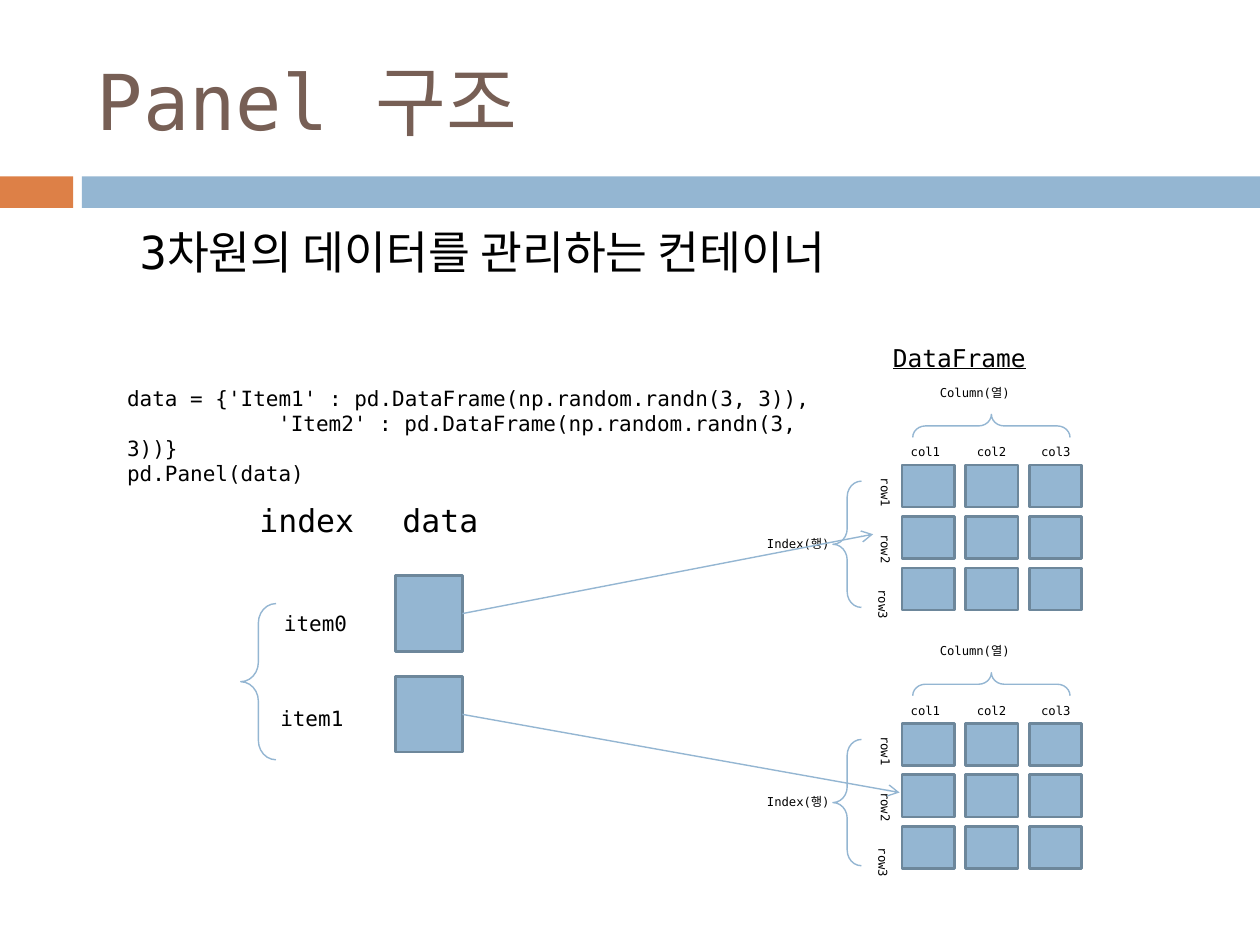
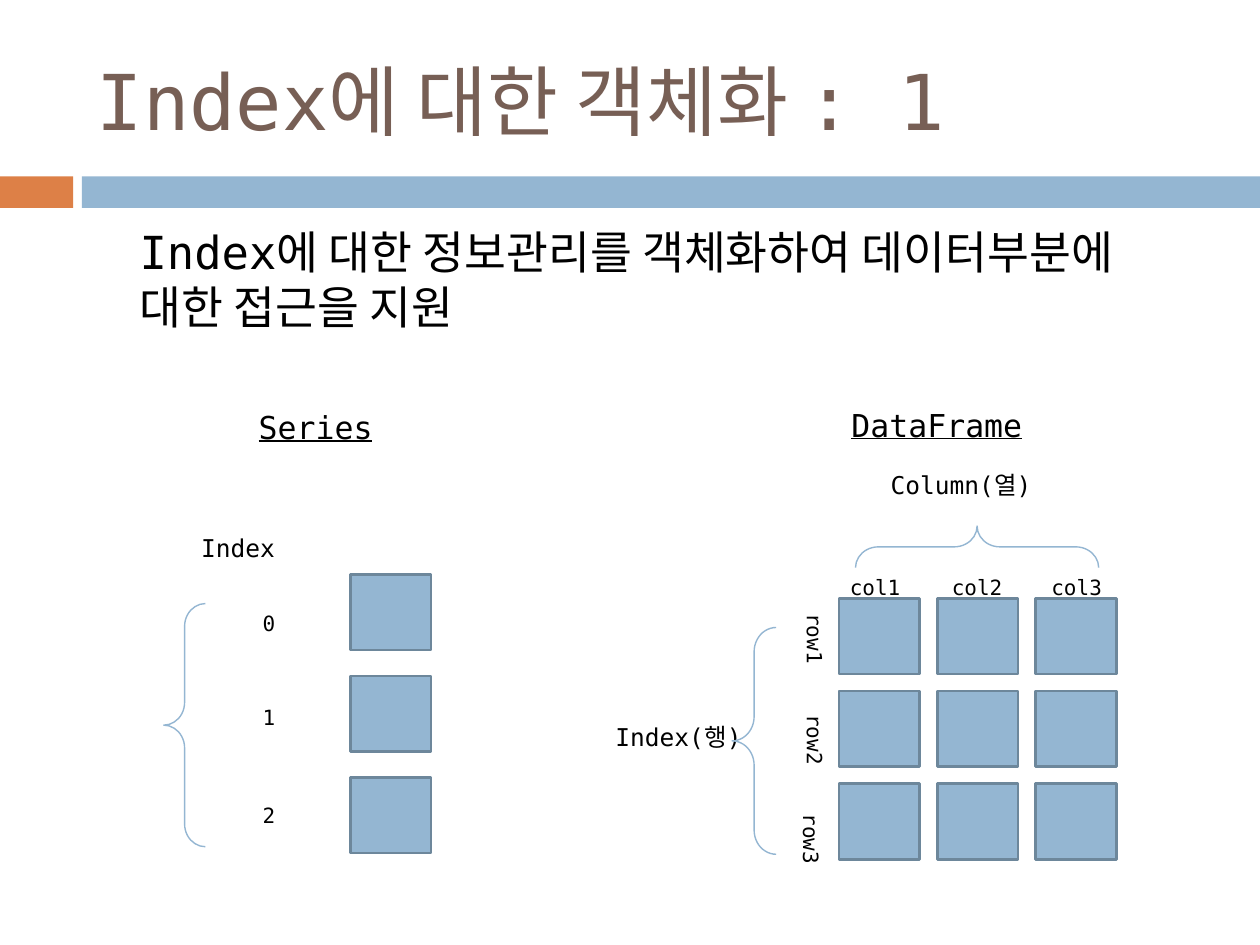
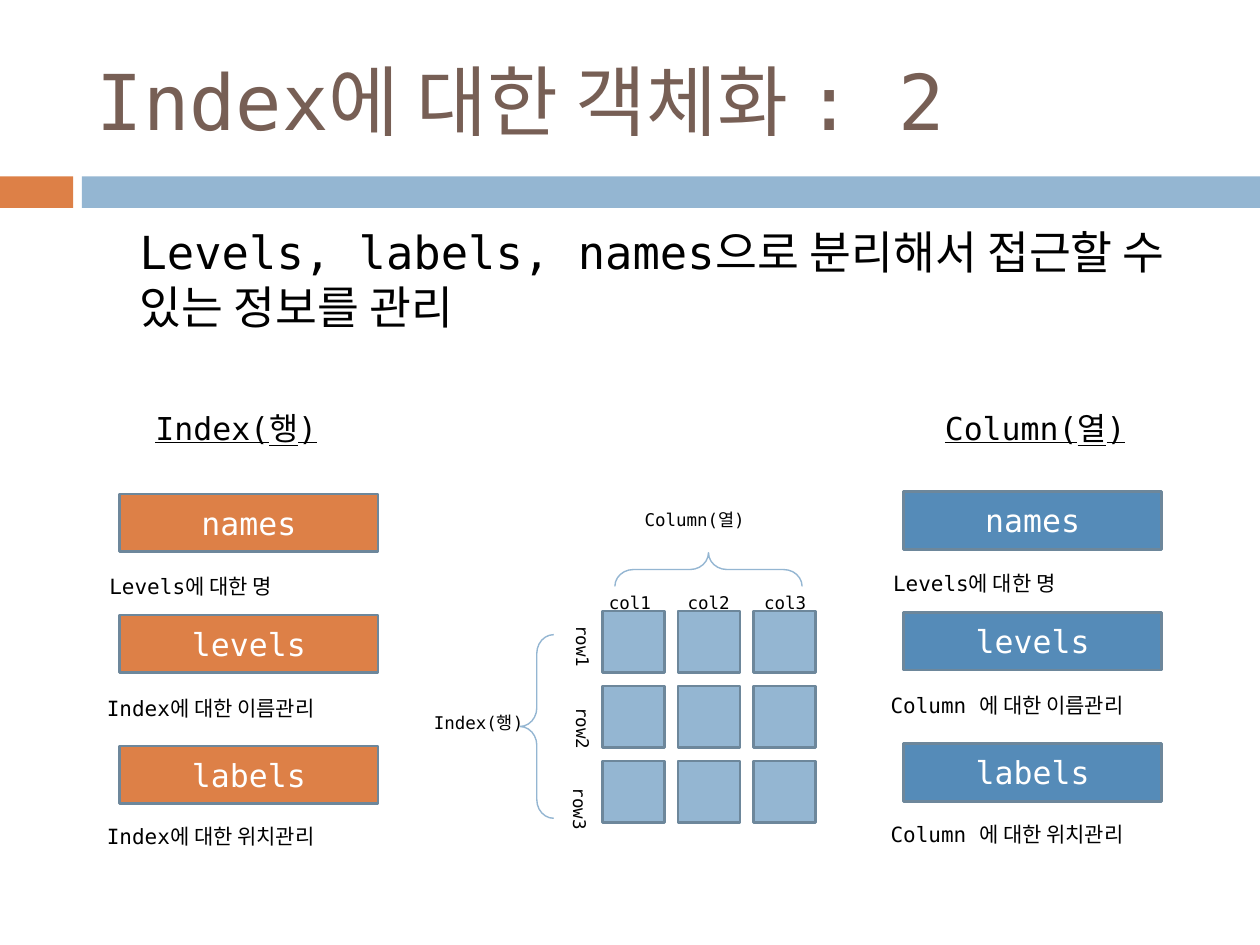
from pptx import Presentation
from pptx.dml.color import RGBColor
from pptx.enum.shapes import MSO_CONNECTOR, MSO_SHAPE
from pptx.enum.text import MSO_ANCHOR, MSO_AUTO_SIZE, PP_ALIGN
from pptx.oxml.ns import qn
from pptx.util import Inches, Pt
from lxml.etree import SubElement

FONT = "DejaVu Sans Mono"
BLACK, WHITE, BROWN = "000000", "FFFFFF", "775F55"
ORANGE, SKY, BLUE, EDGE = "DD8047", "94B6D2", "558BB8", "6D879B"
RECT, BRACE = MSO_SHAPE.RECTANGLE, MSO_SHAPE.RIGHT_BRACE
LEFT, CENTER = PP_ALIGN.LEFT, PP_ALIGN.CENTER


def add(s, kind, x, y, w, h, fill=None, line=None, width=1.5, rotation=0):
    box = [Inches(v) for v in (x, y, w, h)]
    if kind is None:
        sp = s.shapes.add_textbox(*box)
        sp.text_frame.word_wrap = True
        sp.text_frame.auto_size = MSO_AUTO_SIZE.SHAPE_TO_FIT_TEXT
        return sp
    sp = s.shapes.add_shape(kind, *box)
    sp.shadow.inherit = False
    sp.rotation = rotation
    if fill:
        sp.fill.solid()
        sp.fill.fore_color.rgb = RGBColor.from_string(fill)
    else:
        sp.fill.background()
    if line:
        sp.line.color.rgb = RGBColor.from_string(line)
        sp.line.width = Pt(width)
    else:
        sp.line.fill.background()
    if kind == BRACE:
        sp.adjustments[0] = 0.55
        sp.adjustments[1] = 0.5
    return sp


def write(sp, lines, size, color=BLACK, align=CENTER, underline=None):
    tf = sp.text_frame
    for i, line in enumerate(lines):
        p = tf.add_paragraph() if i else tf.paragraphs[0]
        p.alignment = align
        r = p.add_run()
        r.text = line
        r.font.name = FONT
        r.font.size = Pt(size)
        r.font.underline = underline
        r.font.color.rgb = RGBColor.from_string(color)
    return tf


prs = Presentation()
prs.slide_width = Inches(10)
prs.slide_height = Inches(7.5)

pages = [
    ("Panel 구조", "3차원의 데이터를 관리하는 컨테이너", 1.47),
    ("Index에 대한 객체화 : 1",
     "Index에 대한 정보관리를 객체화하여 데이터부분에 대한 접근을 지원", 1),
    ("Index에 대한 객체화 : 2",
     "Levels, labels, names으로 분리해서 접근할 수 있는 정보를 관리", 1),
]
slides = []
for title, body, body_h in pages:
    s = prs.slides.add_slide(prs.slide_layouts[6])
    slides.append(s)
    add(s, RECT, 0, 1.4, 0.58, 0.25, ORANGE)
    add(s, RECT, 0.65, 1.4, 9.35, 0.25, SKY)
    tf = write(add(s, None, 0.67, 0.25, 8.92, 1.08), [title], 44, BROWN, LEFT)
    tf.auto_size = MSO_AUTO_SIZE.NONE
    tf.vertical_anchor = MSO_ANCHOR.MIDDLE
    tf = write(add(s, None, 0.51, 1.73, 9, body_h), [body], 26, BLACK, LEFT)
    tf.auto_size = MSO_AUTO_SIZE.NONE
    p = tf.paragraphs[0]
    p.space_before = Pt(5.5)
    p._p.get_or_add_pPr().set("marL", str(Inches(0.5)))
panel, index1, index2 = slides

frames = [
    (panel, 7.16, 3.69, 0.647, 0.557, 7, 0.12, 0.21, 0.19, 0.68, 0.31, 0.21),
    (panel, 7.16, 5.74, 0.647, 0.557, 7, 0.12, 0.21, 0.19, 0.68, 0.31, 0.21),
    (index1, 6.66, 4.75, 1, 1, 14, 0.34, 0.36, 0.43, 1.07, 0.41, 0.24),
    (index2, 4.78, 4.85, 0.77, 0.81, 10, 0.27, 0.37, 0.44, 0.86, 0.33, 0.2),
]
for s, x, y, sx, sy, size, label_h, row_w, row_h, label_up, brace_up, col_up in frames:
    small = min(size, 12)
    for row in range(3):
        for col in range(3):
            add(s, RECT, x + 0.78 * sx * col, y + 0.735 * sy * row,
                0.64 * sx, 0.6 * sy, SKY, EDGE)
    write(add(s, None, x - 2.07 * sx, y + 0.93 * sy, 1.59 * sx, label_h),
          ["Index(행)"], size)
    write(add(s, None, x + 0.31 * sx, y - label_up, 1.9 * sx, label_h),
          ["Column(열)"], size, align=LEFT)
    add(s, BRACE, x - 0.85 * sx, y + 0.23 * sy, 0.35 * sx, 1.8 * sy,
        line=SKY, width=0.79, rotation=180)
    depth, span = 0.33 * sy, 1.93 * sx
    add(s, BRACE, x + 1.095 * sx - depth / 2, y - brace_up - span / 2, depth, span,
        line=SKY, width=0.79, rotation=270)
    for i, dx in enumerate((-0.07, 0.74, 1.53)):
        write(add(s, None, x + dx * sx, y - col_up, 0.71 * sx, label_h),
              [f"col{i + 1}"], small)
    for i, (dx, dy) in enumerate(((0, 0.02), (0, 0.82), (-0.03, 1.61))):
        left = x - (0.36 if sx < 0.7 else 0) * sx - (0 if sx < 0.7 else 0.4 * sx ** 0.1)
        tf = write(add(s, None, left + dx * sx, y + dy * sy, row_w, row_h),
                   [f"row{i + 1}"], small, align=LEFT)
        tf.word_wrap = False
        tf._txBody.bodyPr.set("vert", "eaVert")

for y in (4.57, 5.37):
    add(panel, RECT, 3.14, y, 0.53, 0.6, SKY, EDGE)
add(panel, BRACE, 1.91, 4.79, 0.28, 1.24, line=SKY, width=0.79, rotation=180)
for label, x, y, w, h, size in (
    ("index", 1.9, 3.93, 1.07, 0.4, 18),
    ("data", 2.96, 3.93, 1.07, 0.4, 18),
    ("item0", 1.87, 4.8, 1.27, 0.3, 12),
    ("item1", 2.05, 5.55, 0.85, 0.3, 12),
):
    write(add(panel, None, x, y, w, h), [label], size)
for y1, x2, y2 in ((4.87, 6.93, 4.24), (5.67, 7.14, 6.29)):
    arrow = panel.shapes.add_connector(
        MSO_CONNECTOR.STRAIGHT, Inches(3.67), Inches(y1), Inches(x2), Inches(y2))
    arrow.line.color.rgb = RGBColor.from_string(SKY)
    arrow.line.width = Pt(0.79)
    SubElement(arrow.line._get_or_add_ln(), qn("a:tailEnd"), type="arrow")
    SubElement(arrow._element.spPr, qn("a:effectLst"))
tf = write(add(panel, None, 0.91, 3.01, 5.62, 0.9), [
    "data = {'Item1' : pd.DataFrame(np.random.randn(3, 3)),",
    "'Item2' : pd.DataFrame(np.random.randn(3, 3))}",
    "pd.Panel(data)",
], 12, align=LEFT)
tf.paragraphs[1]._p.get_or_add_pPr().set("indent", str(Inches(1.2)))

for i, y in enumerate((4.8, 5.54, 6.32)):
    add(index1, RECT, 2.78, 4.56 + 0.805 * i, 0.64, 0.6, SKY, EDGE)
    write(add(index1, None, 1.78, y, 0.71, 0.3), [str(i)], 12)
write(add(index1, None, 1.25, 4.18, 1.28, 0.34), ["Index"], 14)
add(index1, BRACE, 1.3, 4.79, 0.33, 1.93, line=SKY, width=0.79, rotation=180)

for s, heading, x, y, w, h, size in (
    (panel, "DataFrame", 5.9, 2.67, 3.43, 0.34, 14),
    (index1, "Series", 0.96, 3.19, 3.09, 0.4, 18),
    (index1, "DataFrame", 5.89, 3.17, 3.09, 0.4, 18),
    (index2, "Index(행)", 0.95, 3.2, 1.85, 0.4, 18),
    (index2, "Column(열)", 7.29, 3.2, 1.85, 0.4, 18),
):
    write(add(s, None, x, y, w, h), [heading], size, underline=True)

for axis, x, dy, fill in (("Index", 0.95, 0, ORANGE), ("Column ", 7.17, -0.02, BLUE)):
    for name, y, caption, caption_dx, caption_y in (
        ("names", 3.92, "Levels에 대한 명", -0.18, 4.5),
        ("levels", 4.88, f"{axis}에 대한 이름관리", -0.2, 5.47),
        ("labels", 5.92, f"{axis}에 대한 위치관리", -0.2, 6.49),
    ):
        write(add(index2, RECT, x, y + dy, 2.05, 0.46, fill, EDGE), [name], 18, WHITE)
        write(add(index2, None, x + caption_dx, caption_y + dy, 2.44, 0.25),
              [caption], 12, align=LEFT)

prs.save("out.pptx")
